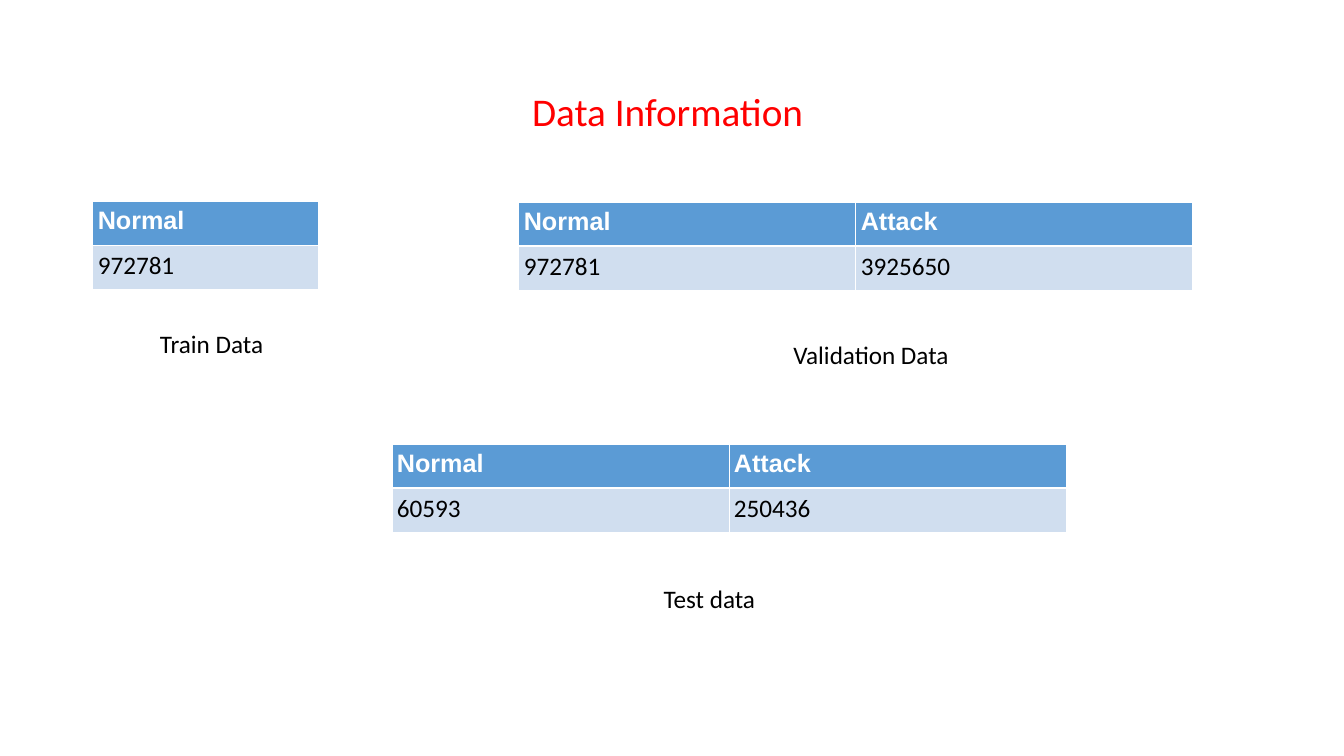
from dataclasses import dataclass

from lxml import etree
from pptx import Presentation
from pptx.dml.color import RGBColor
from pptx.enum.shapes import MSO_SHAPE
from pptx.enum.text import MSO_ANCHOR, PP_ALIGN
from pptx.oxml.ns import qn
from pptx.slide import Slide
from pptx.table import _Cell
from pptx.text.text import TextFrame, _Paragraph
from pptx.util import Inches, Pt

RECTANGLE = MSO_SHAPE.RECTANGLE
MIDDLE = MSO_ANCHOR.MIDDLE
CENTER = PP_ALIGN.CENTER
SLIDE_WIDTH = Inches(13.34)
SLIDE_HEIGHT = Inches(7.5)
TITLE_ONLY_LAYOUT = 5


@dataclass(frozen=True)
class Theme:
    title_color: str = "FF0000"
    text_color: str = "000000"
    header_text: str = "FFFFFF"
    header_fill: str = "5B9BD5"
    body_fill: str = "D0DEEF"
    paper: str = "FFFFFF"
    header_font: str = "Arial"
    body_font: str = "Calibri"
    title_size: int = 28
    text_size: int = 18
    thin_border: float = 0.45
    thick_border: float = 1.47
    margin: float = 0.05


@dataclass(frozen=True)
class Box:
    """Position and size in percent of the slide."""

    left: float
    top: float
    width: float
    height: float

    def lengths(self) -> tuple[int, int, int, int]:
        return (
            int(SLIDE_WIDTH * self.left / 100),
            int(SLIDE_HEIGHT * self.top / 100),
            int(SLIDE_WIDTH * self.width / 100),
            int(SLIDE_HEIGHT * self.height / 100),
        )


@dataclass(frozen=True)
class DataSet:
    counts: dict[str, str]
    table_box: Box
    caption: str
    caption_box: Box


THEME = Theme()
TITLE_BOX = Box(6.9, 5.33, 86.2, 19.33)
DATA_SETS = (
    DataSet(
        {"Normal": "972781"}, Box(6.9, 26.67, 16.8, 11.6),
        "Train Data", Box(10.87, 42.4, 9.75, 6.13),
    ),
    DataSet(
        {"Normal": "972781", "Attack": "3925650"}, Box(38.6, 26.8, 50.15, 11.6),
        "Validation Data", Box(58.4, 42.93, 12.82, 8),
    ),
    DataSet(
        {"Normal": "60593", "Attack": "250436"}, Box(29.16, 58.8, 50.15, 11.6),
        "Test data", Box(48.28, 76.13, 9, 6.13),
    ),
)


def set_margins(target: TextFrame | _Cell) -> None:
    margin = Inches(THEME.margin)
    target.margin_left = target.margin_right = margin
    target.margin_top = target.margin_bottom = margin


def set_font(
    paragraph: _Paragraph, color: str, size: int, name: str, bold: bool = False
) -> None:
    font = paragraph.font
    font.name = name
    font.size = Pt(size)
    font.bold = bold
    font.color.rgb = RGBColor.from_string(color)


def add_border(cell: _Cell, side: str, width: float) -> None:
    properties = cell._tc.get_or_add_tcPr()
    line = etree.SubElement(properties, qn(f"a:ln{side}"), w=str(int(Pt(width))))
    fill = etree.SubElement(line, qn("a:solidFill"))
    etree.SubElement(fill, qn("a:srgbClr"), val=THEME.paper)


def format_cell(cell: _Cell, text: str, is_header: bool) -> None:
    cell.text = text
    set_margins(cell)
    thick_side = "B" if is_header else "T"
    for side in "LRTB":
        width = THEME.thick_border if side == thick_side else THEME.thin_border
        add_border(cell, side, width)
    cell.fill.solid()
    fill_color = THEME.header_fill if is_header else THEME.body_fill
    cell.fill.fore_color.rgb = RGBColor.from_string(fill_color)
    set_font(
        cell.text_frame.paragraphs[0],
        THEME.header_text if is_header else THEME.text_color,
        THEME.text_size,
        THEME.header_font if is_header else THEME.body_font,
        bold=is_header,
    )


def add_title(slide: Slide, text: str) -> None:
    title = slide.shapes.title
    title.left, title.top, title.width, title.height = TITLE_BOX.lengths()
    frame = title.text_frame
    frame.text = text
    frame.vertical_anchor = MIDDLE
    set_margins(frame)
    paragraph = frame.paragraphs[0]
    paragraph.alignment = CENTER
    paragraph.line_spacing = 0.9
    set_font(paragraph, THEME.title_color, THEME.title_size, THEME.body_font)


def add_count_table(slide: Slide, data_set: DataSet) -> None:
    rows = (tuple(data_set.counts), tuple(data_set.counts.values()))
    table = slide.shapes.add_table(
        len(rows), len(data_set.counts), *data_set.table_box.lengths()
    ).table
    for row_index, row in enumerate(rows):
        for column_index, text in enumerate(row):
            format_cell(table.cell(row_index, column_index), text, row_index == 0)


def add_caption(slide: Slide, data_set: DataSet) -> None:
    shape = slide.shapes.add_shape(RECTANGLE, *data_set.caption_box.lengths())
    shape.shadow.inherit = False
    shape.fill.solid()
    shape.fill.fore_color.rgb = RGBColor.from_string(THEME.paper)
    shape.line.fill.background()
    frame = shape.text_frame
    frame.text = data_set.caption
    frame.word_wrap = True
    frame.vertical_anchor = MIDDLE
    set_margins(frame)
    paragraph = frame.paragraphs[0]
    paragraph.alignment = CENTER
    set_font(paragraph, THEME.text_color, THEME.text_size, THEME.body_font)


def main() -> None:
    presentation = Presentation()
    presentation.slide_width = SLIDE_WIDTH
    presentation.slide_height = SLIDE_HEIGHT
    layout = presentation.slide_layouts[TITLE_ONLY_LAYOUT]
    slide = presentation.slides.add_slide(layout)
    add_title(slide, "Data Information ")
    for data_set in DATA_SETS:
        add_count_table(slide, data_set)
        add_caption(slide, data_set)
    presentation.save("out.pptx")


if __name__ == "__main__":
    main()
